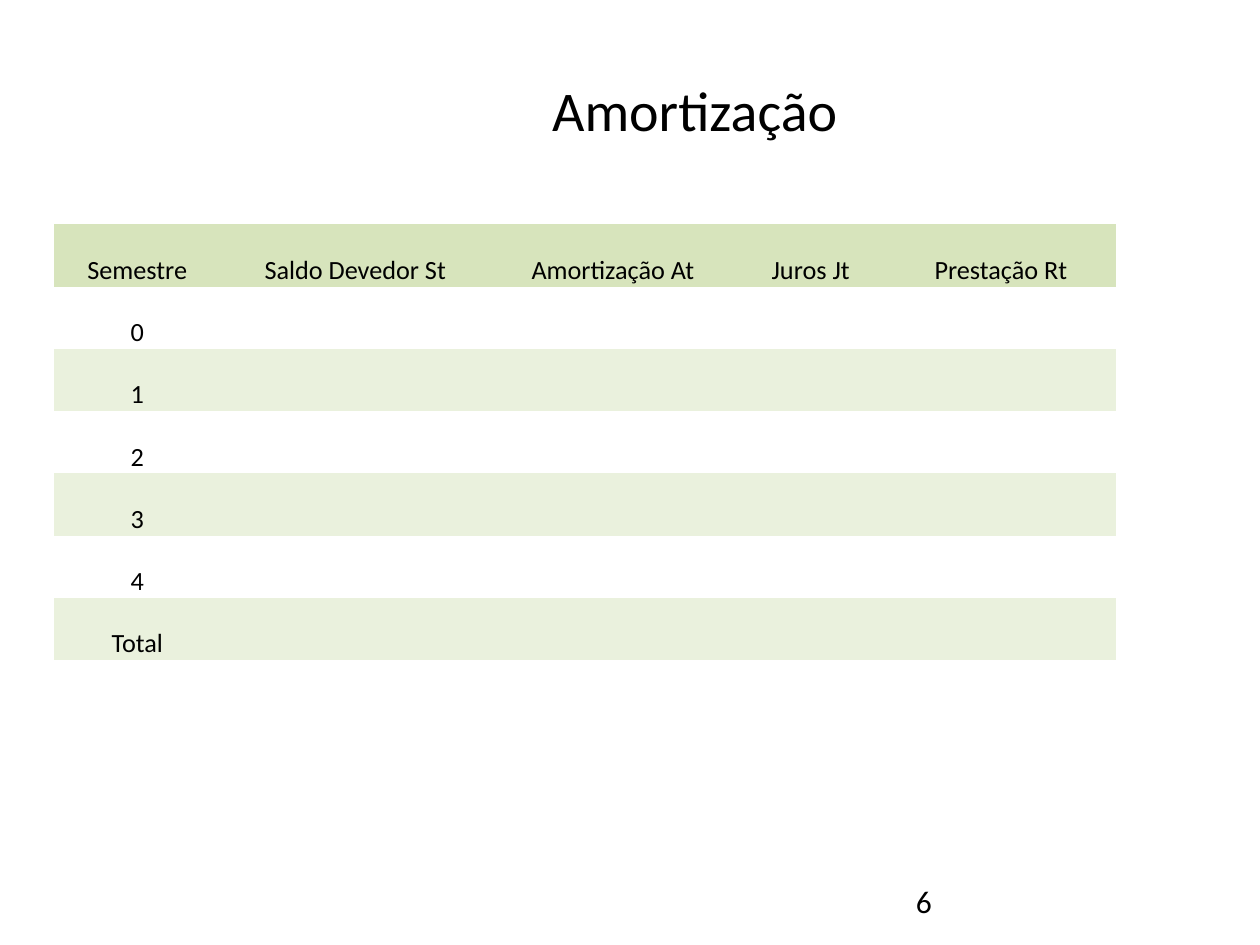
from dataclasses import dataclass

from pptx import Presentation
from pptx.dml.color import RGBColor
from pptx.enum.text import MSO_ANCHOR, PP_ALIGN
from pptx.oxml.ns import qn
from pptx.util import Inches, Pt

BLACK = "000000"
HEADER_GREEN = "D7E4BC"
BAND_GREEN = "EAF1DD"
NO_STYLE_NO_GRID = "{2D5ABB26-0587-4C30-8999-92F81FD0307C}"


@dataclass
class Column:
    heading: str
    width: float


COLUMNS = [
    Column("Semestre", 1.32),
    Column("Saldo Devedor St", 2.14),
    Column("Amortização At", 1.95),
    Column("Juros Jt", 1.19),
    Column("Prestação Rt", 1.83),
]
ROW_LABELS = ["0", "1", "2", "3", "4", "Total"]
TABLE_HEIGHT = 3.46
CELL_FORMAT = {
    "vertical_anchor": MSO_ANCHOR.BOTTOM,
    "margin_left": Inches(0.01),
    "margin_top": Inches(0.01),
    "margin_right": Inches(0.01),
    "margin_bottom": 0,
}


def color(value: str) -> RGBColor:
    return RGBColor.from_string(value)


def set_format(target, values: dict) -> None:
    for name, value in values.items():
        setattr(target, name, value)


def place(shape, left: float, top: float, width: float, height: float) -> None:
    set_format(shape, {"left": Inches(left), "top": Inches(top),
                       "width": Inches(width), "height": Inches(height)})


def write(frame, text: str, size: float, align: PP_ALIGN) -> None:
    para = frame.paragraphs[0]
    para.alignment = align
    span = para.add_run()
    span.text = text
    set_format(span.font, {"name": "Calibri", "size": Pt(size)})
    span.font.color.rgb = color(BLACK)


def add_title(page) -> None:
    title = page.shapes.title
    place(title, 0.91, 0.52, 9.21, 0.87)
    set_format(title.text_frame, {"vertical_anchor": MSO_ANCHOR.TOP,
                                  "margin_top": Inches(0.08), "word_wrap": True})
    write(title.text_frame, "Amortização", 32, PP_ALIGN.CENTER)


def add_page_number(page) -> None:
    box = page.shapes.add_textbox(Inches(7.17), Inches(6.95), Inches(2.33), Inches(0.4))
    set_format(box.text_frame, {"word_wrap": True, "vertical_anchor": MSO_ANCHOR.MIDDLE})
    write(box.text_frame, "6", 18, PP_ALIGN.LEFT)


def fill_cell(cell, row: int) -> None:
    """Tint the header and every second row below it."""
    if row % 2:
        cell.fill.background()
    else:
        cell.fill.solid()
        cell.fill.fore_color.rgb = color(BAND_GREEN if row else HEADER_GREEN)


def add_amortization_table(page) -> None:
    headings = [column.heading for column in COLUMNS]
    rows = [headings] + [[label] + [""] * (len(COLUMNS) - 1) for label in ROW_LABELS]
    width = sum(column.width for column in COLUMNS)
    frame = page.shapes.add_table(len(rows), len(COLUMNS), Inches(0.43), Inches(1.78),
                                  Inches(width), Inches(TABLE_HEIGHT))
    table = frame.table
    set_format(table, {"first_row": False, "horz_banding": False})
    frame._element.find(".//" + qn("a:tableStyleId")).text = NO_STYLE_NO_GRID

    for index, column in enumerate(COLUMNS):
        table.columns[index].width = Inches(column.width)
    for row, texts in enumerate(rows):
        table.rows[row].height = Inches(TABLE_HEIGHT / len(rows))
        for index, text in enumerate(texts):
            cell = table.cell(row, index)
            fill_cell(cell, row)
            if text:
                set_format(cell, CELL_FORMAT)
                write(cell.text_frame, text, 15, PP_ALIGN.CENTER)


def main() -> None:
    deck = Presentation()
    set_format(deck, {"slide_width": Inches(10), "slide_height": Inches(7.5)})
    page = deck.slides.add_slide(deck.slide_layouts[5])
    add_title(page)
    add_amortization_table(page)
    add_page_number(page)
    deck.save("out.pptx")


if __name__ == "__main__":
    main()
